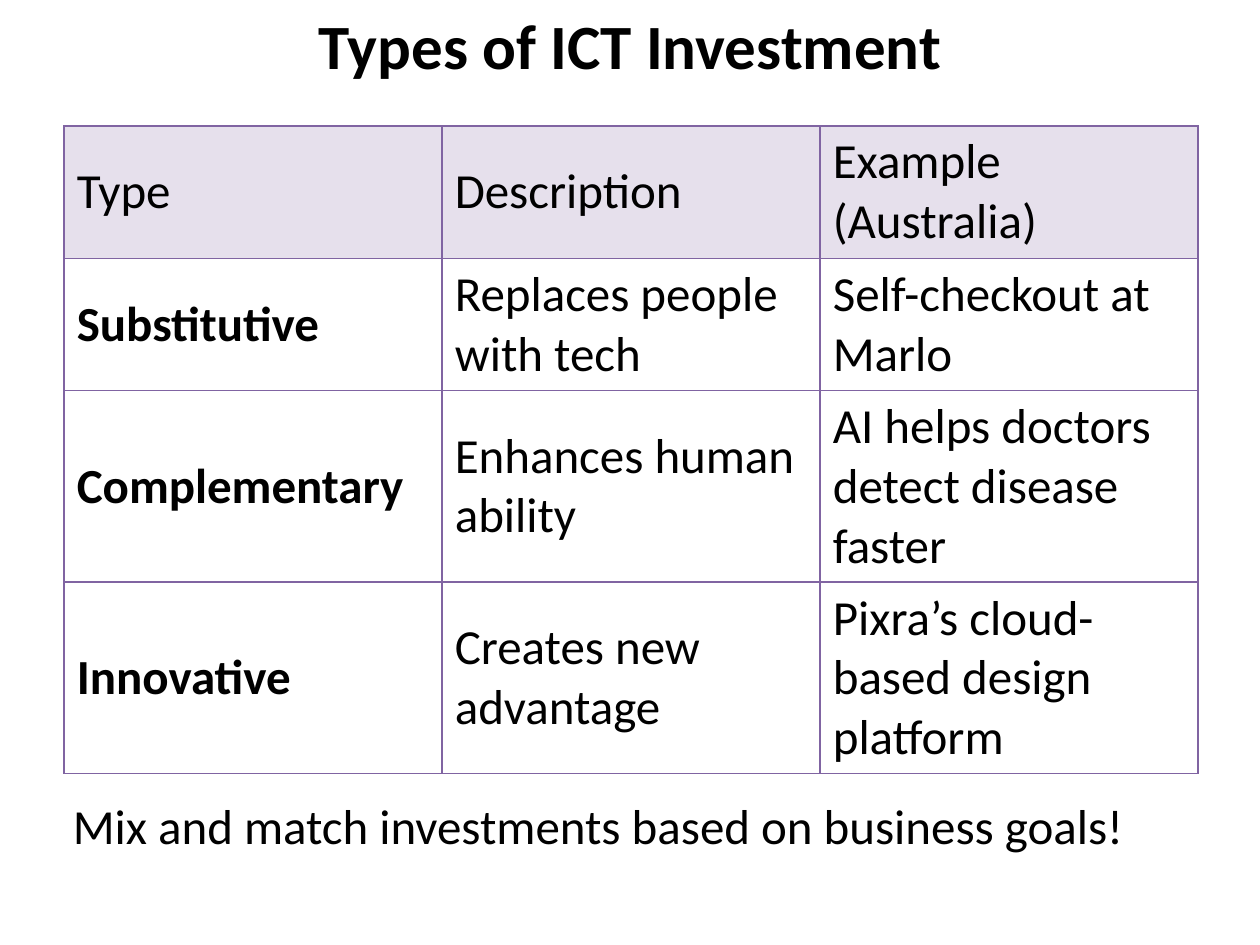
from lxml.etree import SubElement
from pptx import Presentation
from pptx.dml.color import RGBColor
from pptx.enum.text import MSO_ANCHOR, PP_ALIGN
from pptx.oxml.ns import qn
from pptx.util import Inches, Pt

FONT = "Calibri"
BLACK = "000000"
BORDER = "8064A2"
HEADER_FILL = "E6E0EC"

INVESTMENTS = [
    ("Type", "Description", "Example (Australia)"),
    ("Substitutive", "Replaces people with tech", "Self-checkout at Marlo"),
    ("Complementary", "Enhances human ability", "AI helps doctors detect disease faster"),
    ("Innovative", "Creates new advantage", "Pixra’s cloud-based design platform"),
]
ROW_HEIGHTS = [1.05, 1.05, 1.52, 1.52]
COLUMN_WIDTH = 3


def color(hex_string):
    return RGBColor.from_string(hex_string)


def add_run(paragraph, text, size=28, bold=False):
    run = paragraph.add_run()
    run.text = text
    run.font.name = FONT
    run.font.size = Pt(size)
    run.font.bold = bold
    run.font.color.rgb = color(BLACK)


def add_text(slide, text, left, top, width, height, size=28, bold=False,
             align=PP_ALIGN.LEFT, anchor=MSO_ANCHOR.TOP, wrap=True):
    box = slide.shapes.add_textbox(Inches(left), Inches(top), Inches(width), Inches(height))
    frame = box.text_frame
    frame.word_wrap = wrap
    frame.vertical_anchor = anchor
    paragraph = frame.paragraphs[0]
    paragraph.alignment = align
    add_run(paragraph, text, size, bold)


def set_borders(cell, hex_string, width):
    properties = cell._tc.get_or_add_tcPr()
    for side in ("a:lnL", "a:lnR", "a:lnT", "a:lnB"):
        line = SubElement(properties, qn(side), w=str(Pt(width)))
        fill = SubElement(line, qn("a:solidFill"))
        SubElement(fill, qn("a:srgbClr"), val=hex_string)


def fill_cell(cell, text, is_header, bold):
    cell.vertical_anchor = MSO_ANCHOR.MIDDLE
    add_run(cell.text_frame.paragraphs[0], text, bold=bold)
    set_borders(cell, BORDER, 1)
    if is_header:
        cell.fill.solid()
        cell.fill.fore_color.rgb = color(HEADER_FILL)
    else:
        cell.fill.background()


def add_investment_table(slide, left, top):
    column_count = len(INVESTMENTS[0])
    table = slide.shapes.add_table(
        len(INVESTMENTS), column_count, Inches(left), Inches(top),
        Inches(COLUMN_WIDTH * column_count), Inches(sum(ROW_HEIGHTS))).table
    table.first_row = False
    table.horz_banding = False
    for column in table.columns:
        column.width = Inches(COLUMN_WIDTH)
    for r, (height, entries) in enumerate(zip(ROW_HEIGHTS, INVESTMENTS)):
        table.rows[r].height = Inches(height)
        for c, entry in enumerate(entries):
            fill_cell(table.cell(r, c), entry, is_header=r == 0, bold=r > 0 and c == 0)


def main():
    deck = Presentation()
    deck.slide_width, deck.slide_height = Inches(10), Inches(7.5)
    slide = deck.slides.add_slide(deck.slide_layouts[6])
    add_text(slide, "Types of ICT Investment", 0.5, 0, 9, 0.81,
             size=36, bold=True, align=PP_ALIGN.CENTER)
    add_investment_table(slide, 0.51, 1)
    add_text(slide, "Mix and match investments based on business goals!",
             0.48, 6.26, 8.73, 0.57, anchor=MSO_ANCHOR.MIDDLE, wrap=False)
    deck.save("out.pptx")


if __name__ == "__main__":
    main()
